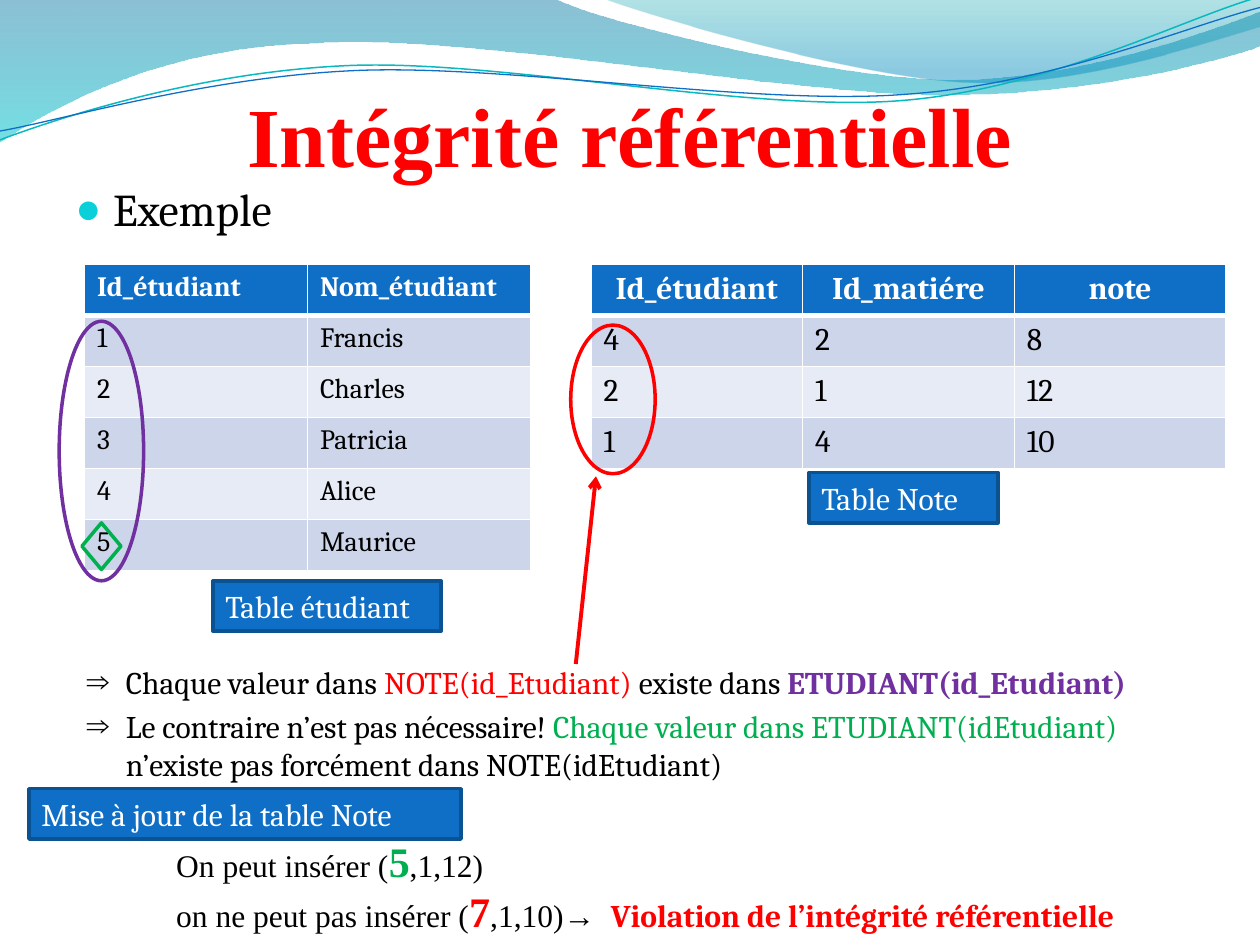
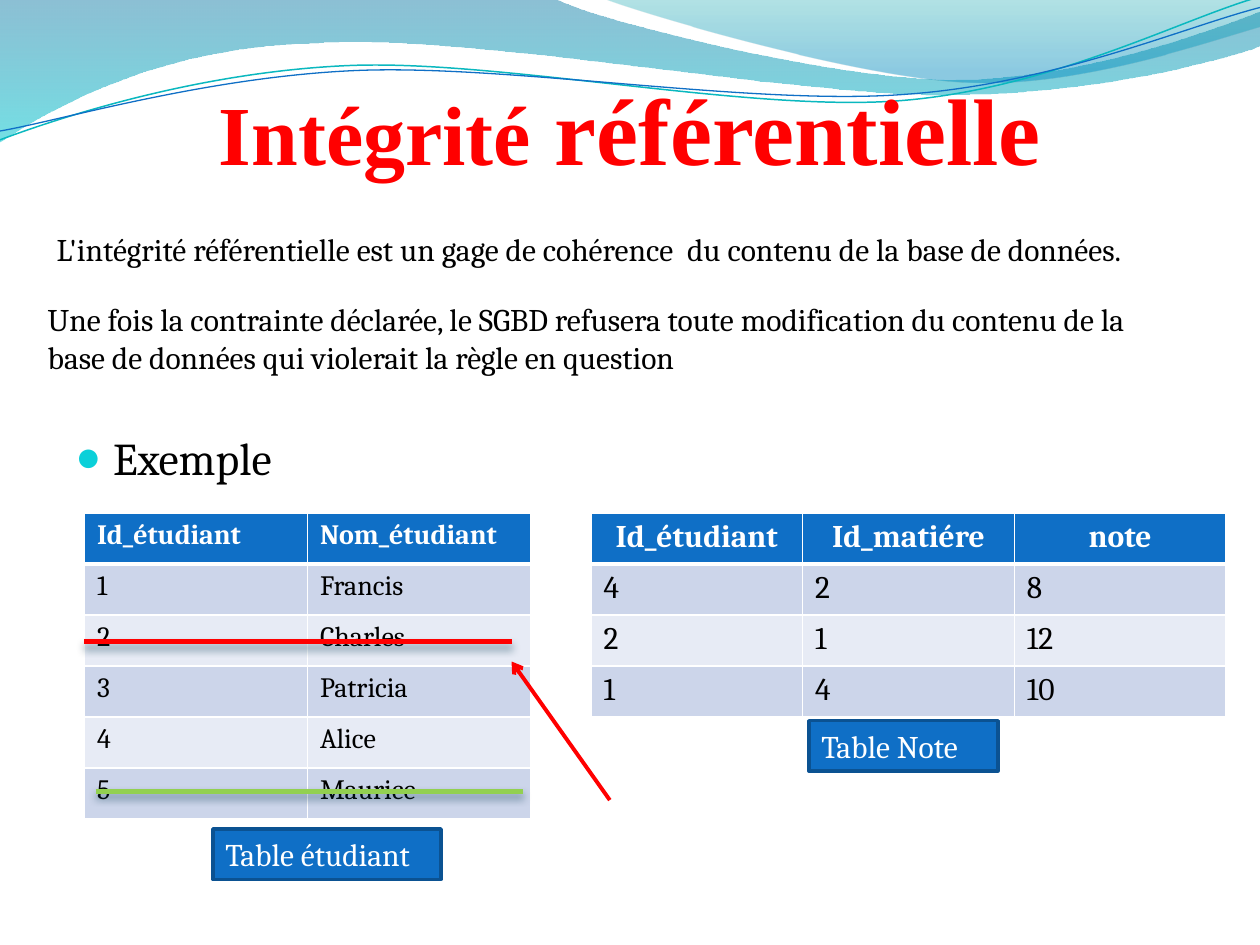
import math

import pptx
import pptx.dml.color
import pptx.enum.shapes
import pptx.enum.text
import pptx.oxml
import pptx.oxml.ns
import pptx.util
from lxml import etree

Inches = pptx.util.Inches
Pt = pptx.util.Pt
RGBColor = pptx.dml.color.RGBColor
MSO_SHAPE = pptx.enum.shapes.MSO_SHAPE
ANCHOR = pptx.enum.text.MSO_ANCHOR
ALIGN = pptx.enum.text.PP_ALIGN
qn = pptx.oxml.ns.qn

BLACK = RGBColor(0x00, 0x00, 0x00)
WHITE = RGBColor(0xFF, 0xFF, 0xFF)
RED = RGBColor(0xFF, 0x00, 0x00)
GREEN = RGBColor(0x00, 0xB0, 0x50)
LIME = RGBColor(0x92, 0xD0, 0x50)
PURPLE = RGBColor(0x70, 0x30, 0xA0)
BLUE = RGBColor(0x0F, 0x6F, 0xC6)
DARK_BLUE = RGBColor(0x0B, 0x52, 0x92)
TEAL = RGBColor(0x0A, 0xB8, 0xBF)
CYAN = RGBColor(0x0B, 0xD0, 0xD9)
BAND_DARK = RGBColor(0xCC, 0xD5, 0xEA)
BAND_LIGHT = RGBColor(0xE7, 0xEB, 0xF5)
SHADOW = RGBColor(0x00, 0x37, 0x4C)

SERIF = "Cambria"
TIMES = "Times New Roman"

# Each wave: a start point, then curves (two controls and an end) or straight ends.
# Gradient stops: position, colour, opacity in percent.
WAVE_FILLS = [
    ([[(0, 0)], [(4.4, -0.01)],
      [(4.76, 0.17), (6.64, 0.63), (7.58, 0.63)],
      [(8.53, 0.63), (9.58, 0.26), (10, 0.09)], [(10.01, 0.36)],
      [(9.83, 0.44), (8.7, 0.76), (7.46, 0.75)],
      [(6.22, 0.75), (3.82, 0.28), (2.57, 0.34)],
      [(1.29, 0.36), (0.46, 0.83), (-0.01, 1.13)], [(0, 0)]],
     [(0, RGBColor(0x00, 0x74, 0xA1), 45), (1, RGBColor(0x00, 0xC6, 0xCF), 55)]),
    ([[(4.79, -0.01)],
      [(5.09, 0.11), (6.82, 0.62), (7.69, 0.65)],
      [(8.56, 0.69), (9.61, 0.32), (10, 0.21)], [(10, 0)], [(4.79, -0.01)]],
     [(0, RGBColor(0x00, 0xA1, 0xA9), 30), (0.8, RGBColor(0x00, 0x8B, 0xBF), 45)]),
]
WAVE_LINES = [
    ([[(0, 1.11)],
      [(0.48, 0.93), (1.58, 0.57), (2.77, 0.52)],
      [(3.95, 0.47), (5.93, 0.89), (7.13, 0.8)],
      [(8.33, 0.71), (9.38, 0.15), (9.98, -0.02)]], (4.99, 0.58), TEAL, 0.85),
    ([[(0, 1.04)],
      [(0.47, 0.96), (1.64, 0.61), (2.83, 0.56)],
      [(4.03, 0.51), (5.97, 0.84), (7.17, 0.75)],
      [(8.36, 0.67), (9.41, 0.21), (10, 0.06)]], (5, 0.59), BLUE, 0.75),
]
TILT = 2.7

STUDENTS = [("Id_étudiant", "Nom_étudiant"), ("1", "Francis"), ("2", "Charles"),
            ("3", "Patricia"), ("4", "Alice"), ("5", "Maurice")]
GRADES = [("Id_étudiant", "Id_matiére", "note"), ("4", "2", "8"),
          ("2", "1", "12"), ("1", "4", "10")]
ROW_HEIGHT = 0.405


def inches(*lengths):
    return [Inches(length) for length in lengths]


def add_xml(parent, tag, **attributes):
    return etree.SubElement(parent, qn(tag), {k: str(v) for k, v in attributes.items()})


def turn(point, center):
    """Turn a point clockwise by TILT about the center."""
    sine, cosine = math.sin(math.radians(TILT)), math.cos(math.radians(TILT))
    dx, dy = point[0] - center[0], point[1] - center[1]
    return center[0] + dx * cosine - dy * sine, center[1] + dx * sine + dy * cosine


def add_outline(slide, segments, close):
    """Draw the segments, then bend each group of three points into a curve."""
    start, *points = [inches(*point) for segment in segments for point in segment]
    builder = slide.shapes.build_freeform(*start)
    builder.add_line_segments(points, close=close)
    wave = builder.convert_to_shape()
    wave.shadow.inherit = False
    ends = iter(list(wave._element.iter(qn("a:lnTo"))))
    for segment in segments[1:]:
        group = [next(ends) for _ in segment]
        if len(group) == 3:
            curve = etree.Element(qn("a:cubicBezTo"))
            group[0].addprevious(curve)
            for end in group:
                curve.append(end[0])
                end.getparent().remove(end)
    return wave


def add_waves(slide):
    for segments, stops in WAVE_FILLS:
        wave = add_outline(slide, segments, True)
        wave.line.fill.background()
        wave.fill.gradient()
        wave.fill.gradient_angle = 270
        for stop, (position, colour, _) in zip(wave.fill.gradient_stops, stops):
            stop.position = position
            stop.color.rgb = colour
        colours = wave._element.spPr.iter(qn("a:srgbClr"))
        for colour, (_, _, opacity) in zip(colours, stops):
            add_xml(colour, "a:alpha", val=opacity * 1000)
    for segments, center, colour, width in WAVE_LINES:
        level = [[turn(point, center) for point in segment] for segment in segments]
        wave = add_outline(slide, level, False)
        wave.rotation = 360 - TILT
        wave.fill.background()
        wave.line.color.rgb = colour
        wave.line.width = Pt(width)


def write(paragraph, runs, **base):
    """Add runs (text, changes); changes override the base format."""
    for text, changes in runs:
        style = {"name": SERIF, "size": 18, "bold": False, "color": BLACK, **base, **changes}
        run = paragraph.add_run()
        run.text = text
        run.font.color.rgb = style.pop("color")
        style["size"] = Pt(style["size"])
        for attribute, value in style.items():
            setattr(run.font, attribute, value)


def add_text(slide, box, paragraphs, **base):
    frame = slide.shapes.add_textbox(*inches(*box)).text_frame
    frame.word_wrap = True
    for index, runs in enumerate(paragraphs):
        paragraph = frame.add_paragraph() if index else frame.paragraphs[0]
        write(paragraph, runs, **base)
    return frame


def add_bullet(frame, char, indent, colour=BLACK, percent=100):
    properties = frame.paragraphs[0]._p.get_or_add_pPr()
    properties.set("marL", str(Inches(indent)))
    properties.set("indent", str(-Inches(indent)))
    add_xml(add_xml(properties, "a:buClr"), "a:srgbClr", val=colour)
    add_xml(properties, "a:buSzPct", val=percent * 1000)
    add_xml(properties, "a:buFont", typeface=TIMES)
    add_xml(properties, "a:buChar", char=char)


def add_title(slide, runs):
    frame = add_text(slide, (0.5, 0.21, 9, 1.25), [runs],
                     name=TIMES, size=48, bold=True, color=RED)
    frame.vertical_anchor = ANCHOR.BOTTOM
    frame.margin_left = frame.margin_right = frame.margin_bottom = 0
    frame.paragraphs[0].alignment = ALIGN.CENTER


def add_label(slide, box, text):
    label = slide.shapes.add_shape(MSO_SHAPE.RECTANGLE, *inches(*box))
    label.shadow.inherit = False
    label.fill.solid()
    label.fill.fore_color.rgb = BLUE
    label.line.color.rgb = DARK_BLUE
    label.line.width = Pt(2)
    label.text_frame.vertical_anchor = ANCHOR.TOP
    paragraph = label.text_frame.paragraphs[0]
    paragraph.alignment = ALIGN.LEFT
    write(paragraph, [(text, {})], color=WHITE)


def add_ring(slide, preset, box, colour):
    ring = slide.shapes.add_shape(preset, *inches(*box))
    ring.shadow.inherit = False
    ring.fill.background()
    ring.line.color.rgb = colour
    ring.line.width = Pt(2)


def add_line(slide, start, end, colour, width, arrow=False, shadow=False):
    line = slide.shapes.add_connector(
        pptx.enum.shapes.MSO_CONNECTOR.STRAIGHT, *inches(*start, *end))
    line.line.color.rgb = colour
    line.line.width = Pt(width)
    if arrow:
        add_xml(line.line._get_or_add_ln(), "a:tailEnd", type="arrow")
    effects = add_xml(line._element.spPr, "a:effectLst")
    if shadow:
        outer = add_xml(effects, "a:outerShdw", blurRad=Pt(4.5), dist=Pt(3),
                        dir=90 * 60000, algn="ctr", rotWithShape=0)
        add_xml(add_xml(outer, "a:srgbClr", val=SHADOW), "a:alpha", val=48000)


def set_borders(cell, bottom):
    properties = cell._tc.get_or_add_tcPr()
    for index, side in enumerate("LRTB"):
        border = add_xml(properties, f"a:ln{side}", w=Pt(bottom if side == "B" else 1))
        add_xml(add_xml(border, "a:solidFill"), "a:srgbClr", val=WHITE)
        properties.insert(index, border)


def add_grid(slide, left, top, width, rows, size, header_align):
    table = slide.shapes.add_table(
        len(rows), len(rows[0]),
        *inches(left, top, width, ROW_HEIGHT * len(rows))).table
    for r, values in enumerate(rows):
        header = r == 0
        for c, value in enumerate(values):
            cell = table.cell(r, c)
            cell.fill.solid()
            cell.fill.fore_color.rgb = BLUE if header else (BAND_LIGHT, BAND_DARK)[r % 2]
            set_borders(cell, 3 if header else 1)
            paragraph = cell.text_frame.paragraphs[0]
            paragraph.alignment = header_align if header else ALIGN.LEFT
            write(paragraph, [(value, {})], size=size, bold=header,
                  color=WHITE if header else BLACK)


def add_example(slide, top):
    """Heading, both tables and their labels, from the given top."""
    heading = add_text(slide, (0.5, top, 9, 0.69), [[("Exemple", {})]], size=26)
    add_bullet(heading, "●", 0.3, CYAN, 95)
    add_grid(slide, 0.67, top + 0.71, 3.54, STUDENTS, 16, ALIGN.LEFT)
    add_grid(slide, 4.69, top + 0.71, 5.04, GRADES, 18, ALIGN.CENTER)
    add_label(slide, (1.69, top + 3.22, 1.81, 0.4), "Table étudiant")
    add_label(slide, (6.42, top + 2.36, 1.5, 0.4), "Table Note")


def add_key_marks(slide, top):
    """Rings around the key columns, with an arrow from the rule below."""
    add_ring(slide, MSO_SHAPE.OVAL, (4.53, top + 1.19, 0.67, 1.18), RED)
    add_ring(slide, MSO_SHAPE.OVAL, (0.47, top + 1.16, 0.67, 2.06), PURPLE)
    add_ring(slide, MSO_SHAPE.DIAMOND, (0.65, top + 2.76, 0.31, 0.37), GREEN)
    add_line(slide, (4.57, top + 3.88), (4.73, top + 2.39), RED, 2.25, arrow=True)


def add_deleted_rows(slide, top):
    add_line(slide, (0.76, top + 2.92), (4.15, top + 2.92), LIME, 3, shadow=True)
    add_line(slide, (0.67, top + 1.73), (4.06, top + 1.73), RED, 3, shadow=True)
    add_line(slide, (4.84, top + 2.99), (4.06, top + 1.89), RED, 2.25, arrow=True)


def add_rules(slide, left, top):
    rules = [
        (0, 0.4, [("Chaque valeur dans ", {}), ("NOTE(id_Etudiant)", {"color": RED}),
                  (" existe dans ", {}),
                  ("ETUDIANT(id_Etudiant)", {"color": PURPLE, "bold": True})]),
        (0.35, 0.71, [("Le contraire n’est pas nécessaire! ", {}),
                      ("Chaque valeur dans ETUDIANT(idEtudiant) ", {"color": GREEN}),
                      ("n’existe pas forcément dans NOTE(idEtudiant)", {})]),
    ]
    for offset, height, runs in rules:
        frame = add_text(slide, (left, top + offset, 9.06, height), [runs])
        add_bullet(frame, "⇒", 0.31)


def add_update(slide, left, top):
    """Label of the update and the two attempted insertions."""
    add_label(slide, (left, top, 3.43, 0.4), "Mise à jour de la table Note")
    key = {"size": 24, "bold": True}
    add_text(slide, (left + 1.07, top + 0.32, 7.91, 0.91), [
        [("On peut insérer (", {}), ("5", {**key, "color": GREEN}), (",1,12)", {})],
        [("on ne peut pas insérer (", {}), ("7", {**key, "color": RED}), (",1,10)→  ", {}),
         ("Violation de l’intégrité référentielle",
          {"name": SERIF, "color": RED, "bold": True})],
    ], name=TIMES)


def build_rule_slide(slide):
    add_waves(slide)
    add_title(slide, [("Intégrité référentielle", {})])
    add_example(slide, 1.39)
    add_rules(slide, 0.59, 5.21)
    add_update(slide, 0.23, 6.26)
    add_key_marks(slide, 1.39)


def build_deletion_slide(slide):
    add_waves(slide)
    add_title(slide, [("Intégrité", {}), (" référentielle", {"size": 54})])
    add_text(slide, (0.35, 1.78, 9.21, 0.4), [[(
        "L'intégrité référentielle est un gage de cohérence  du contenu "
        "de la base de données.", {})]])
    add_text(slide, (0.28, 2.33, 8.98, 0.71), [[(
        "Une fois la contrainte déclarée, le SGBD refusera toute modification du contenu "
        "de la base de données qui violerait la règle en question", {})]])
    add_example(slide, 3.36)
    add_deleted_rows(slide, 3.36)


def main():
    deck = pptx.Presentation()
    deck.slide_width, deck.slide_height = inches(10, 7.5)
    for build in (build_rule_slide, build_deletion_slide):
        build(deck.slides.add_slide(deck.slide_layouts[6]))
    deck.save("out.pptx")


if __name__ == "__main__":
    main()
